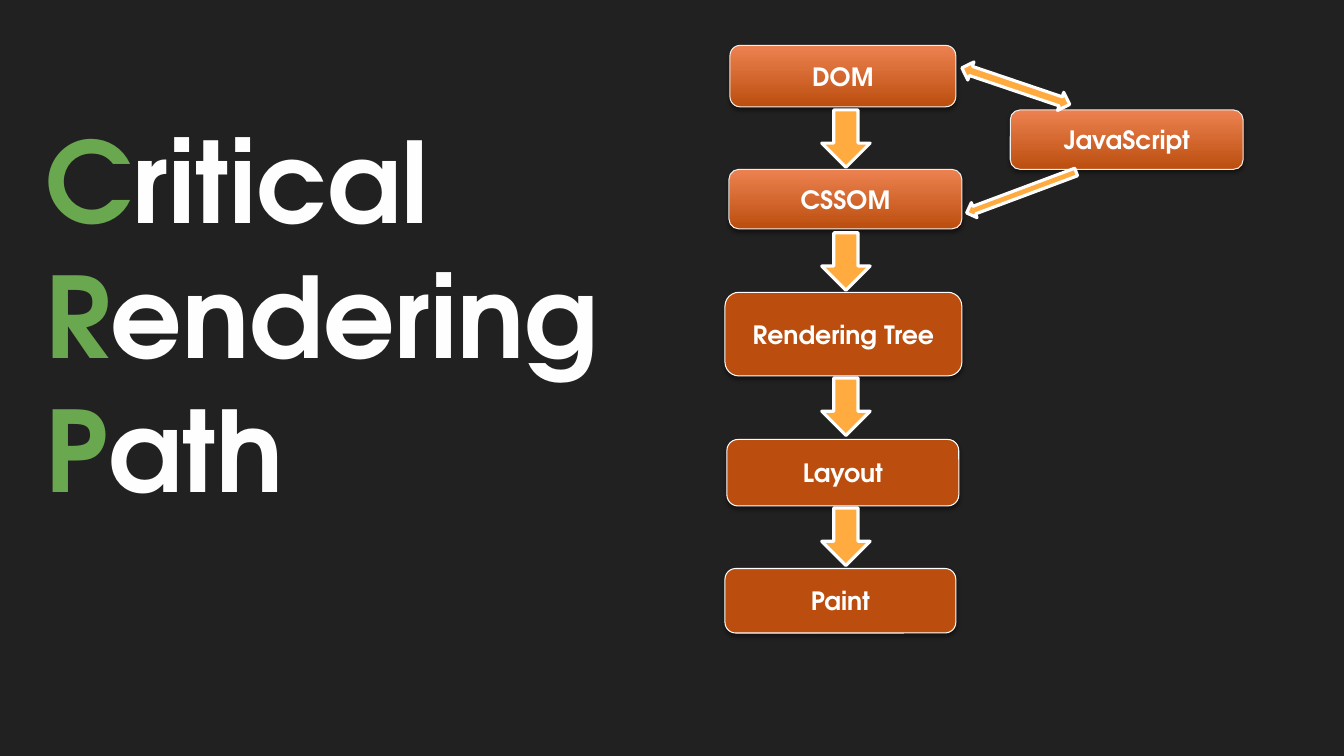
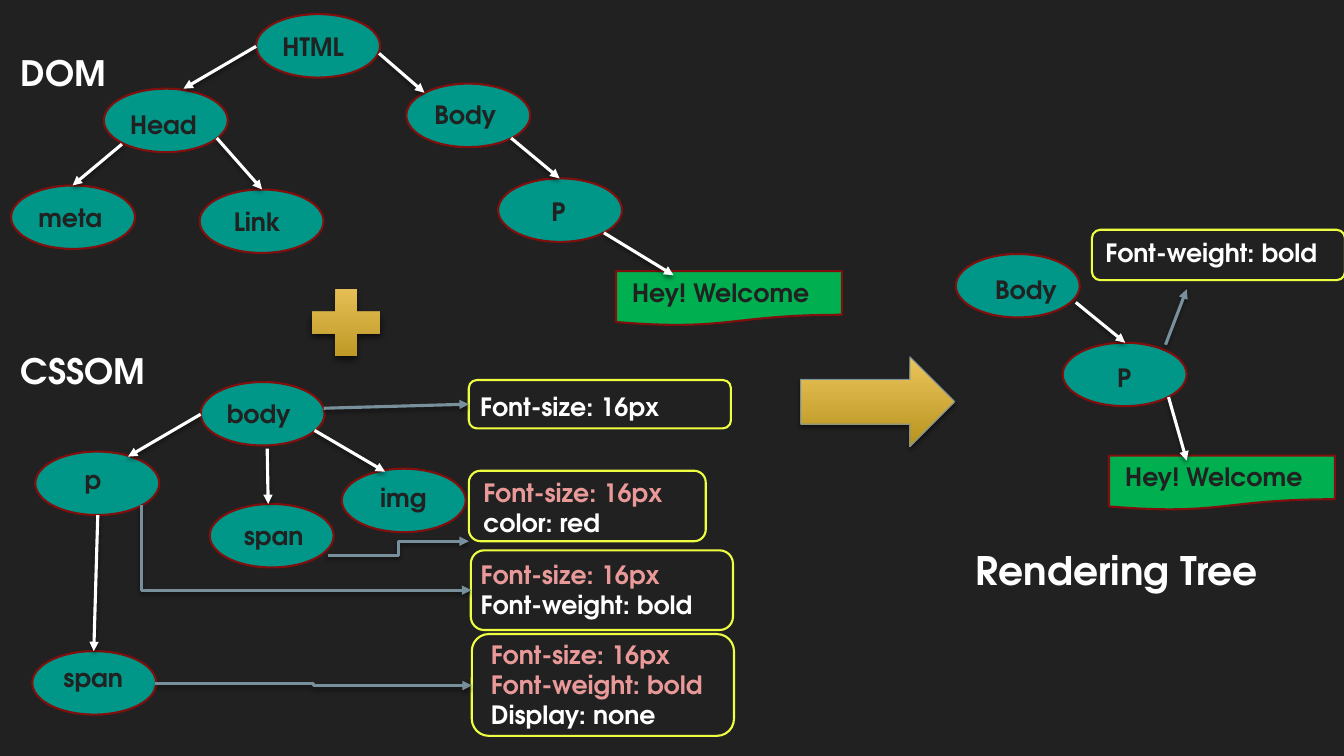
import pptx
import pptx.dml.color
import pptx.enum.dml
import pptx.enum.shapes
import pptx.enum.text
import pptx.oxml.ns
import pptx.util
from lxml import etree

Inches, Pt = pptx.util.Inches, pptx.util.Pt
Kind = pptx.enum.shapes.MSO_SHAPE
Link = pptx.enum.shapes.MSO_CONNECTOR
Align, Anchor = pptx.enum.text.PP_ALIGN, pptx.enum.text.MSO_ANCHOR
color = pptx.dml.color.RGBColor.from_string
qn = pptx.oxml.ns.qn

FONT = "TeX Gyre Adventor"
DARK, WHITE, PALE = "212121", "FFFFFF", "EEEEEE"
GREEN, AMBER, RUST = "6AA84F", "FFAB40", "BB4E0E"
TEAL, WINE, LEAF = "009688", "800F0D", "00B050"
LEMON, PINK, SLATE = "EEFF41", "EA9999", "78909C"
EMBER, GOLD = ("ED8251", RUST), ("EBC55C", "B9931E")
SOFT, DEEP = (44, 3, 2), (60, 5, 3)  # opacity in percent, blur and distance in points

deck = pptx.Presentation()
deck.slide_width, deck.slide_height = Inches(13.33), Inches(7.5)
back = deck.slide_master.background.fill
back.solid()
back.fore_color.rgb = color(DARK)
plain = deck.slide_layouts[5]
shades = []


def draw(slide, kind, box, fill, line=None, width=0.75, shade=None):
    """Add a shape; a pair of colours as fill gives a downward gradient."""
    shape = slide.shapes.add_shape(kind, *map(Inches, box))
    shape.shadow.inherit = False
    if isinstance(fill, tuple):
        shape.fill.gradient()
        shape.fill.gradient_angle = 270
        for stop, tone in zip(shape.fill.gradient_stops, fill):
            stop.color.rgb = color(tone)
    else:
        shape.fill.solid()
        shape.fill.fore_color.rgb = color(fill)
    if line:
        shape.line.color.rgb = color(line)
        shape.line.width = Pt(width)
    else:
        shape.line.fill.background()
    if shade:
        shades.append((shape, shade))
    return shape


def write(shape, lines, size=18, left=0.1, top=0.05, align=Align.LEFT, anchor=Anchor.TOP):
    """Set one paragraph per line; a line is a list of (text, colour) runs."""
    frame = shape.text_frame
    frame.word_wrap = True
    frame.auto_size = pptx.enum.text.MSO_AUTO_SIZE.NONE
    frame.vertical_anchor = anchor
    frame.margin_left, frame.margin_top = Inches(left), Inches(top)
    frame.margin_right = frame.margin_bottom = 0
    for n, line in enumerate(lines):
        para = frame.add_paragraph() if n else frame.paragraphs[0]
        para.alignment = align
        para.font.name, para.font.size, para.font.bold = FONT, Pt(size), True
        for text, tone in line:
            run = para.add_run()
            run.text = text
            run.font.color.rgb = color(tone)


# Slide 1: the steps of the rendering path
slide = deck.slides.add_slide(plain)
title = slide.shapes.title
title.left, title.top, title.width, title.height = map(Inches, (0.35, 1.06, 6.06, 4.14))
words = ("Critical", "Rendering", "Path")
write(title, [[(word[0], GREEN), (word[1:], "FEFEFE")] for word in words], 80)

steps = [
    ("DOM", (7.24, 0.45, 2.24, 0.61), EMBER, PALE),
    ("CSSOM", (7.23, 1.68, 2.31, 0.59), EMBER, PALE),
    ("JavaScript", (10.02, 1.09, 2.31, 0.59), EMBER, PALE),
    ("Rendering Tree", (7.19, 2.9, 2.35, 0.83), RUST, WHITE),
    ("Layout", (7.21, 4.36, 2.3, 0.66), RUST, WHITE),
    ("Paint", (7.19, 5.64, 2.29, 0.64), RUST, WHITE),
]
for text, box, fill, line in steps:
    step = draw(slide, Kind.ROUNDED_RECTANGLE, box, fill, line, shade=SOFT)
    write(step, [[(text, WHITE)]], left=0, top=0, align=Align.CENTER, anchor=Anchor.MIDDLE)

for top in (1.09, 2.31, 3.75, 5.04):
    draw(slide, Kind.DOWN_ARROW, (8.15, top, 0.48, 0.57), AMBER, WHITE, 2.25)
for kind, box, turn in (
    (Kind.LEFT_RIGHT_ARROW, (9.51, 0.76, 1.13, 0.19), 18.7),
    (Kind.DOWN_ARROW, (10.05, 1.33, 0.16, 1.16), 69.5),
):
    draw(slide, kind, box, AMBER, WHITE, 2.25).rotation = turn

# Slide 2: DOM plus CSSOM gives the rendering tree
slide = deck.slides.add_slide(plain)
title = slide.shapes.title
title.left, title.top, title.width, title.height = map(Inches, (9.58, 5.37, 3.66, 0.57))
write(title, [[("Rendering Tree", WHITE)]], 28)
for text, top in (("DOM", 0.46), ("CSSOM", 3.42)):
    label = slide.shapes.add_textbox(*map(Inches, (0.11, top, 2.86, 0.52)))
    write(label, [[(text, WHITE)]], 25)

# Each node: text, left and top of the ellipse, left and top inset of the text
nodes = [
    ("HTML", 2.54, 0.14, 0.08, 0.08),
    ("Head", 1.03, 0.88, 0.08, 0.11),
    ("Body", 4.03, 0.83, 0.1, 0.06),
    ("Link", 1.98, 1.88, 0.16, 0.08),
    ("meta", 0.11, 1.84, 0.09, 0.08),
    ("P", 4.94, 1.77, 0.35, 0.09),
    ("body", 1.99, 3.79, 0.08, 0.07),
    ("p", 0.35, 4.48, 0.31, 0.03),
    ("img", 3.39, 4.65, 0.2, 0.04),
    ("span", 2.08, 5, 0.16, 0.07),
    ("span", 0.32, 6.46, 0.13, 0.02),
    ("P", 10.54, 3.4, 0.36, 0.1),
    ("Body", 9.48, 2.52, 0.21, 0.11),
]
for text, x, y, left, top in nodes:
    node = draw(slide, Kind.OVAL, (x, y, 1.23, 0.63), TEAL, WINE, 1.5)
    write(node, [[(text, DARK)]], left=left, top=top)

for x, y in ((6.11, 2.69), (11, 4.52)):
    note = draw(slide, Kind.FLOWCHART_DOCUMENT, (x, y, 2.24, 0.54), LEAF, WINE, 1.5)
    write(note, [[("Hey! Welcome", DARK)]], left=0.16, top=0.06)

# Each rule: box, left and top inset, inherited styles in pink, own style in white
SIZE, BOLD = "Font-size: 16px", "Font-weight: bold"
rules = [
    ((4.65, 3.77, 2.6, 0.48), 0.09, 0.09, [], SIZE),
    ((4.65, 4.67, 2.35, 0.7), 0.11, 0.03, [SIZE], "color: red"),
    ((4.67, 5.46, 2.6, 0.79), 0.06, 0.05, [SIZE], BOLD),
    ((4.68, 6.29, 2.6, 1.01), 0.14, 0, [SIZE, BOLD], "Display: none"),
    ((10.83, 2.28, 2.51, 0.5), 0.11, 0.05, [], BOLD),
]
cards = []
for box, left, top, old, own in rules:
    card = draw(slide, Kind.ROUNDED_RECTANGLE, box, DARK, LEMON, 1.5)
    write(card, [[(text, PINK)] for text in old] + [[(own, WHITE)]], left=left, top=top)
    cards.append(card)

branches = [
    (2.54, 0.46, 1.82, 0.88),
    (3.76, 0.53, 4.21, 0.92),
    (1.21, 1.43, 0.72, 1.84),
    (2.15, 1.37, 2.6, 1.88),
    (5.07, 1.37, 5.55, 1.77),
    (5.99, 2.31, 6.68, 2.73),
    (1.99, 4.11, 1.27, 4.53),
    (0.97, 5.11, 0.93, 6.46),
    (2.65, 4.45, 2.66, 5),
    (3.12, 4.27, 3.82, 4.68),
    (10.67, 3, 11.16, 3.4),
    (11.59, 3.94, 11.77, 4.57),
]
links = [(Link.STRAIGHT, ends, WHITE) for ends in branches]
links += [
    (Link.STRAIGHT, (11.56, 3.42, 11.77, 2.87), SLATE),
    (Link.ELBOW, (1.54, 6.78, 4.68, 6.8), SLATE),
    (Link.ELBOW, (3.25, 5.51, 4.65, 5.37), SLATE),
    (Link.ELBOW, (1.4, 5.02, 4.67, 5.86), SLATE),
    (Link.STRAIGHT, (3.21, 4.05, 4.65, 4.01), SLATE),
]
wires = []
for kind, ends, tone in links:
    wire = slide.shapes.add_connector(kind, *map(Inches, ends))
    wire.line.color.rgb = color(tone)
    wire.line.width = Pt(2.25)
    props = wire.element.spPr
    etree.SubElement(props.find(qn("a:ln")), qn("a:tailEnd"), type="triangle")
    etree.SubElement(props, qn("a:effectLst"))
    shades.append((wire, SOFT))
    wires.append(wire)
wires[-1].end_connect(cards[0], 1)

# The wire from "p" bends once: down, then right
bend = wires[-2]
bend.left, bend.top, bend.width, bend.height = map(Inches, (2.62, 3.8, 0.84, 3.27))
props = bend.element.spPr
props.find(qn("a:prstGeom")).set("prst", "bentConnector2")
props.find(qn("a:xfrm")).set("rot", str(270 * 60000))
props.find(qn("a:xfrm")).set("flipH", "1")

draw(slide, Kind.RIGHT_ARROW, (7.94, 3.54, 1.53, 0.89), GOLD, SLATE, shade=SOFT)
draw(slide, Kind.MATH_PLUS, (2.97, 2.75, 0.93, 0.9), GOLD, shade=DEEP)

for shape, (alpha, blur, gap) in shades:
    effects = shape.element.spPr.find(qn("a:effectLst"))
    outer = etree.SubElement(
        effects, qn("a:outerShdw"), blurRad=str(Pt(blur)), dist=str(Pt(gap)),
        dir=str(90 * 60000), rotWithShape="0")
    tone = etree.SubElement(outer, qn("a:srgbClr"), val="000000")
    etree.SubElement(tone, qn("a:alpha"), val=str(alpha * 1000))

deck.save("out.pptx")
